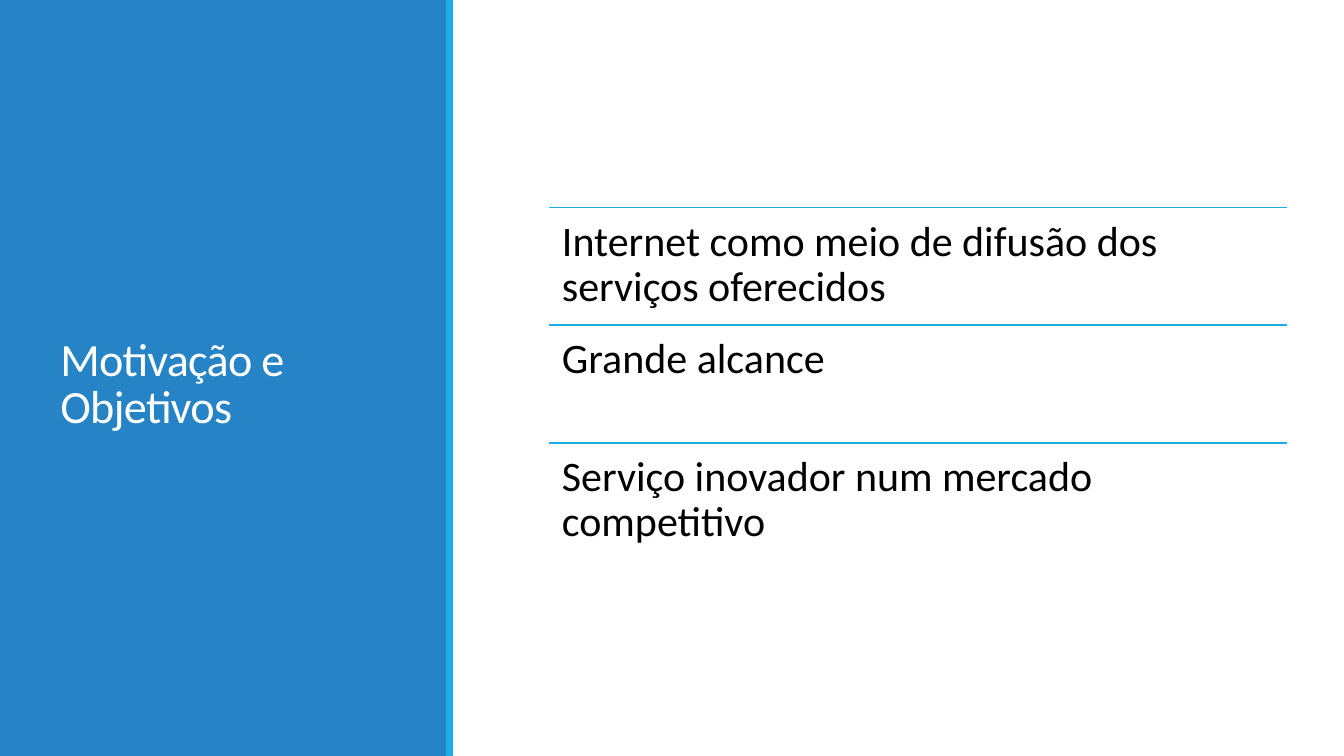
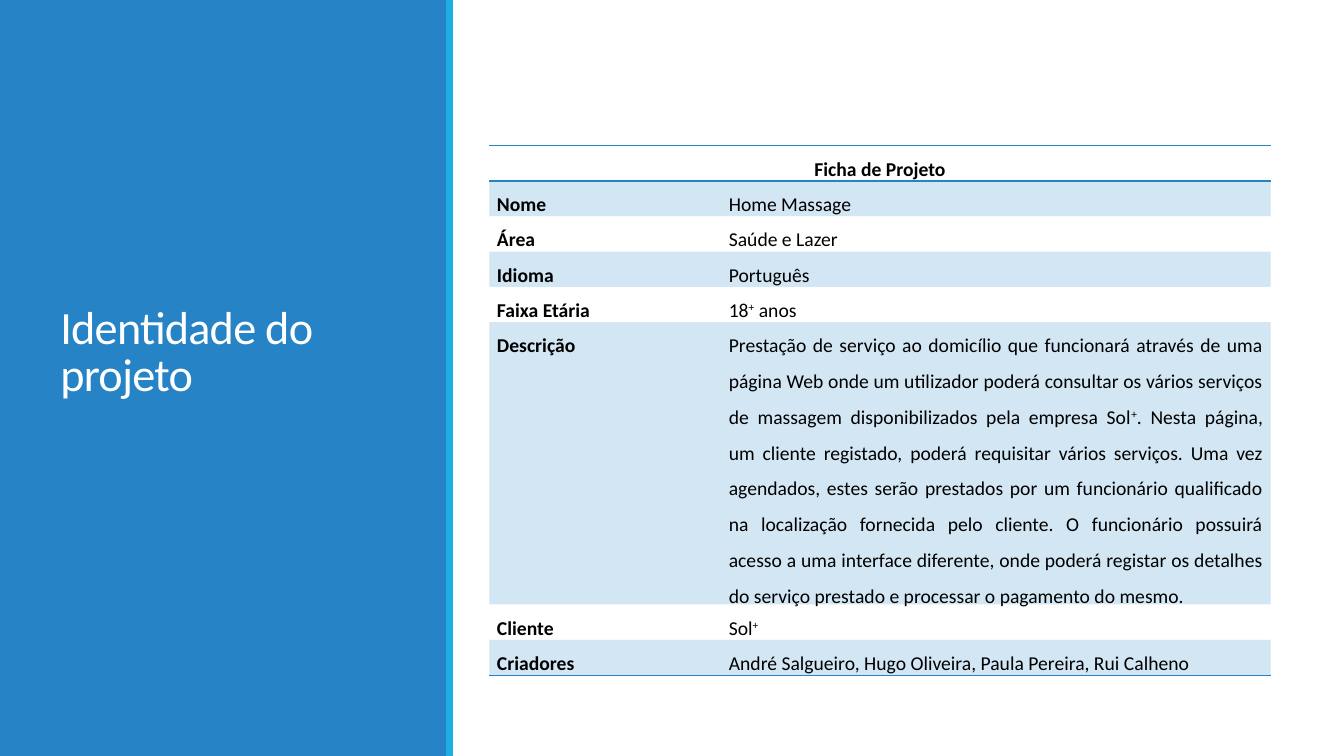
from lxml.etree import SubElement
from pptx import Presentation
from pptx.dml.color import RGBColor
from pptx.enum.shapes import MSO_CONNECTOR, MSO_SHAPE
from pptx.enum.text import MSO_ANCHOR, PP_ALIGN as Align
from pptx.oxml import parse_xml
from pptx.oxml.ns import nsdecls, qn
from pptx.util import Pt

# Shared look
BLUE = RGBColor(0x26, 0x83, 0xC6)
CYAN = RGBColor(0x1C, 0xAD, 0xE4)
WHITE = RGBColor(0xFF, 0xFF, 0xFF)
BLACK = RGBColor(0, 0, 0)
FONT = "Calibri"
SLIDE_W, SLIDE_H = 960, 540
PANEL_W = 318.6
NO_GRID_STYLE = "{2D5ABB26-0587-4C30-8999-92F81FD0307C}"

# Content
GOALS = [
    "Internet como meio de difusão dos serviços oferecidos",
    "Grande alcance",
    "Serviço inovador num mercado competitivo",
]
SHEET_TITLE = "Ficha de Projeto"
# Label, pieces of the value (every second piece is superscript), lines of text
SHEET_ROWS = [
    ("Nome", ["Home Massage"], 1),
    ("Área", ["Saúde e Lazer"], 1),
    ("Idioma", ["Português"], 1),
    ("Faixa Etária", ["18", "+", " anos"], 1),
    ("Descrição", [
        "Prestação de serviço ao domicílio que funcionará através de uma "
        "página Web onde um utilizador poderá consultar os vários serviços "
        "de massagem disponibilizados pela empresa Sol",
        "+",
        ". Nesta página, um cliente registado, poderá requisitar vários "
        "serviços. Uma vez agendados, estes serão prestados por um "
        "funcionário qualificado na localização fornecida pelo cliente. O "
        "funcionário possuirá acesso a uma interface diferente, onde poderá "
        "registar os detalhes do serviço prestado e processar o pagamento "
        "do mesmo."], 8),
    ("Cliente", ["Sol", "+"], 1),
    ("Criadores",
     ["André Salgueiro, Hugo Oliveira, Paula Pereira, Rui Calheno"], 1),
]


def add_run(paragraph, text, size, color=BLACK, bold=False, **attributes):
    run = paragraph.add_run()
    run.text = text
    font = run.font
    font.name, font.size, font.bold = FONT, Pt(size), bold
    font.color.rgb = color
    for name, value in attributes.items():
        run._r.get_or_add_rPr().set(name, str(value))


def set_margins(target, left, top, right, bottom):
    target.margin_left, target.margin_top = Pt(left), Pt(top)
    target.margin_right, target.margin_bottom = Pt(right), Pt(bottom)


def add_text(slide, box, text, size, spacing, margins, color=BLACK,
             anchor=MSO_ANCHOR.TOP, **attributes):
    frame = slide.shapes.add_textbox(*map(Pt, box)).text_frame
    frame.word_wrap = True
    frame.vertical_anchor = anchor
    set_margins(frame, *margins)
    paragraph = frame.paragraphs[0]
    paragraph.line_spacing = spacing
    add_run(paragraph, text, size, color, **attributes)


def add_band(slide, left, width, color):
    band = slide.shapes.add_shape(
        MSO_SHAPE.RECTANGLE, Pt(left), 0, Pt(width), Pt(SLIDE_H))
    band.shadow.inherit = False
    band.fill.solid()
    band.fill.fore_color.rgb = color
    band.line.fill.background()


def add_titled_slide(deck, title, title_height):
    """Blank slide with the blue title panel on the left."""
    slide = deck.slides.add_slide(deck.slide_layouts[6])
    add_band(slide, 0, PANEL_W, BLUE)
    add_band(slide, PANEL_W, 5, CYAN)
    add_text(slide, (36, 46.8, 252, title_height), title, 33, 0.85,
             (7.2, 3.6, 7.2, 192), WHITE, MSO_ANCHOR.BOTTOM, spc=-50)
    return slide


def add_ruled_list(slide, box, items):
    """Equal rows, each with a rule along its top."""
    left, top, width, height = box
    row_height = height / len(items)
    for index, item in enumerate(items):
        y = top + index * row_height
        rule = slide.shapes.add_connector(
            MSO_CONNECTOR.STRAIGHT, Pt(left), Pt(y), Pt(left + width), Pt(y))
        rule.line.color.rgb = CYAN
        rule.line.width = Pt(1.25)
        SubElement(rule._element.spPr, qn("a:effectLst"))
        add_text(slide, (left, y, width, row_height), item, 30, 0.9, (9,) * 4)


def fill_cell(cell, pieces, align, bold=False, shaded=False):
    set_margins(cell, 5.4, 0, 5.4, 0)
    paragraph = cell.text_frame.paragraphs[0]
    paragraph.alignment = align
    paragraph.line_spacing = 1.5
    for index, piece in enumerate(pieces):
        raised = {"baseline": 30000} if index % 2 else {}
        add_run(paragraph, piece, 14, bold=bold, **raised)
    if shaded:
        cell.fill.solid()
        cell.fill.fore_color.rgb = BLUE
        tint = next(cell._tc.tcPr.iter(qn("a:srgbClr")))
        SubElement(tint, qn("a:alpha")).set("val", "20000")
    else:
        cell.fill.background()


def add_borders(cell, *sides):
    """Blue one-point borders; sides are given in schema order (T, B)."""
    for index, side in enumerate(sides):
        cell._tc.get_or_add_tcPr().insert(index, parse_xml(
            f'<a:ln{side} {nsdecls("a")} w="12700"><a:solidFill>'
            f'<a:srgbClr val="{BLUE}"/></a:solidFill></a:ln{side}>'))


def add_project_sheet(slide, box, title, rows):
    """Two-column sheet under a merged heading, with alternate rows tinted."""
    left, top, width, height = box
    table = slide.shapes.add_table(
        len(rows) + 1, 2, Pt(left), Pt(top), Pt(width), Pt(height)).table
    table.first_row = table.horz_banding = False
    table._tbl.tblPr.find(qn("a:tableStyleId")).text = NO_GRID_STYLE
    label_width = 165.6
    table.columns[0].width = Pt(label_width)
    table.columns[1].width = Pt(width - label_width)

    # Row heights follow the number of text lines
    line_counts = [1] + [lines for _, _, lines in rows]
    line_height = height / sum(line_counts)
    for row, lines in zip(table.rows, line_counts):
        row.height = Pt(lines * line_height)

    # Heading
    heading = table.cell(0, 0)
    heading.merge(table.cell(0, 1))
    fill_cell(heading, [title], Align.CENTER, bold=True)
    for column in range(2):
        add_borders(table.cell(0, column), "T", "B")

    # Labels and values
    for index, (label, value, _) in enumerate(rows, 1):
        shaded = index % 2 == 1
        fill_cell(table.cell(index, 0), [label], Align.JUSTIFY, True, shaded)
        fill_cell(table.cell(index, 1), value, Align.JUSTIFY, False, shaded)
    for column in range(2):
        add_borders(table.cell(len(rows), column), "B")


def main():
    deck = Presentation()
    deck.slide_width, deck.slide_height = Pt(SLIDE_W), Pt(SLIDE_H)

    goals = add_titled_slide(deck, "Motivação e Objetivos", 454.3)
    add_ruled_list(goals, (392.4, 148.2, 527, 252), GOALS)

    identity = add_titled_slide(deck, "Identidade do projeto", 431.3)
    add_project_sheet(identity, (349.6, 104, 558, 378), SHEET_TITLE,
                      SHEET_ROWS)

    deck.save("out.pptx")


if __name__ == "__main__":
    main()
